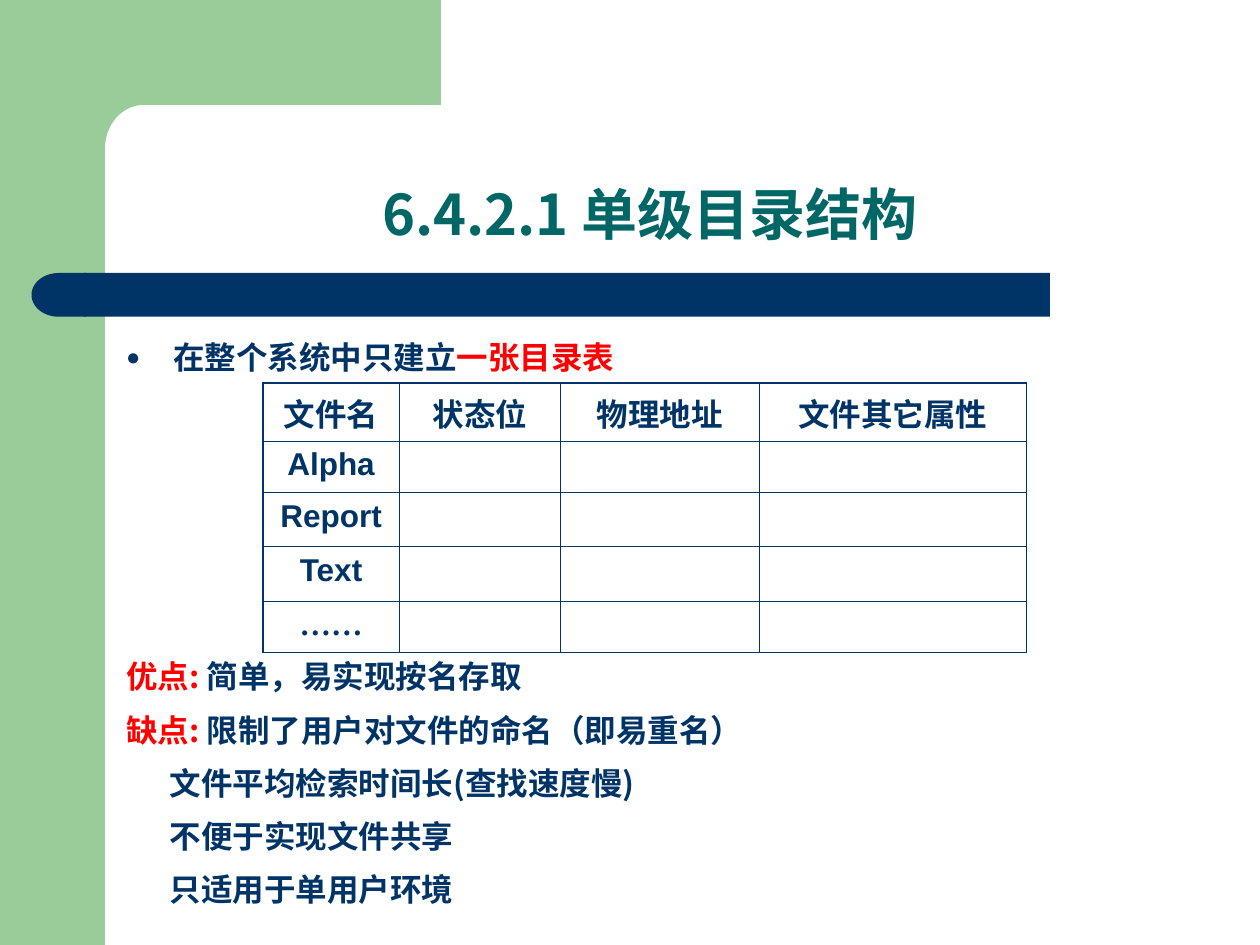
from math import cos, pi, sin

from lxml.etree import SubElement
from pptx import Presentation
from pptx.dml.color import RGBColor
from pptx.enum.shapes import MSO_SHAPE
from pptx.enum.text import MSO_ANCHOR, PP_ALIGN
from pptx.oxml.ns import qn
from pptx.util import Pt

NAVY = RGBColor(0x00, 0x33, 0x66)
GREEN = RGBColor(0x99, 0xCC, 0x99)
TEAL = RGBColor(0x00, 0x66, 0x66)
RED = RGBColor(0xFF, 0x00, 0x00)
CJK = "Noto Sans CJK SC"


def add_text(p, text, size=18, color=NAVY, font=CJK, east=CJK):
    r = p.add_run()
    r.text = text
    r.font.size = Pt(size)
    r.font.bold = True
    r.font.name = font
    r.font.color.rgb = color
    SubElement(r.font._element, qn("a:ea"), typeface=east)


def add_bullet(p, char, percent, color, font):
    pPr = p._p.get_or_add_pPr()
    clr = SubElement(pPr, qn("a:buClr"))
    SubElement(clr, qn("a:srgbClr"), val=str(color))
    SubElement(pPr, qn("a:buSzPct"), val=str(percent * 1000))
    SubElement(pPr, qn("a:buFont"), typeface=font)
    SubElement(pPr, qn("a:buChar"), char=char)


def add_border(cell, side, width, color):
    ln = SubElement(cell._tc.get_or_add_tcPr(), qn(f"a:ln{side}"), w=str(Pt(width)))
    fill = SubElement(ln, qn("a:solidFill"))
    SubElement(fill, qn("a:srgbClr"), val=str(color))


class Deck:
    outer, inner = 1.08, 0.45

    def __init__(self, width, height):
        self.prs = Presentation()
        self.prs.slide_width = Pt(width)
        self.prs.slide_height = Pt(height)
        self.s = self.prs.slides.add_slide(self.prs.slide_layouts[6])

    def paint(self, sp, color):
        sp.shadow.inherit = False
        sp.fill.solid()
        sp.fill.fore_color.rgb = color
        sp.line.fill.background()
        return sp

    def shape(self, kind, x, y, w, h, color):
        sp = self.s.shapes.add_shape(kind, Pt(x), Pt(y), Pt(w), Pt(h))
        return self.paint(sp, color)

    def outline(self, points, color):
        start, *rest = [(Pt(x), Pt(y)) for x, y in points]
        builder = self.s.shapes.build_freeform(*start)
        builder.add_line_segments(rest)
        return self.paint(builder.convert_to_shape(), color)

    def textbox(self, x, y, w, h, top=3.6, bottom=3.6, anchor=MSO_ANCHOR.TOP):
        tf = self.s.shapes.add_textbox(Pt(x), Pt(y), Pt(w), Pt(h)).text_frame
        tf.word_wrap = True
        tf.margin_top, tf.margin_bottom = Pt(top), Pt(bottom)
        tf.vertical_anchor = anchor
        return tf

    def table(self, x, y, widths, heights, rows):
        frame = self.s.shapes.add_table(
            len(heights), len(widths), Pt(x), Pt(y), Pt(sum(widths)), Pt(sum(heights)))
        table = frame.table
        table.first_row = table.horz_banding = False
        for column, width in zip(table.columns, widths):
            column.width = Pt(width)
        for row, height in zip(table.rows, heights):
            row.height = Pt(height)
        last_row, last_col = len(heights) - 1, len(widths) - 1
        for i, row in enumerate(rows):
            for j in range(len(widths)):
                cell = table.cell(i, j)
                edges = {"L": j == 0, "R": j == last_col, "T": i == 0, "B": i == last_row}
                for side, is_outer in edges.items():
                    add_border(cell, side, self.outer if is_outer else self.inner, NAVY)
                cell.fill.background()
                if j < len(row):
                    p = cell.text_frame.paragraphs[0]
                    p.alignment = PP_ALIGN.CENTER
                    if row[j] == "……":
                        add_text(p, row[j], font="Times New Roman", east="Times New Roman")
                    else:
                        add_text(p, row[j], font="Arial")


def add_frame(deck):
    deck.shape(MSO_SHAPE.RECTANGLE, 0, 0, 60, 540, GREEN)
    angles = [pi / 2 * k / 24 for k in range(25)]
    corner = [(82 - 22 * sin(a), 85 - 25 * cos(a)) for a in angles]
    deck.outline([(252, 0), (252, 60), *corner, (60, 92), (36, 92), (36, 0), (252, 0)], GREEN)
    deck.shape(MSO_SHAPE.RECTANGLE, 48, 156, 552, 25, NAVY)
    cap = deck.shape(MSO_SHAPE.FLOWCHART_DELAY, 18, 156, 31, 25, NAVY)
    cap.rotation = 180


def add_title(deck):
    tf = deck.textbox(65, 66, 613, 78.5, bottom=3.1, anchor=MSO_ANCHOR.BOTTOM)
    p = tf.paragraphs[0]
    p.alignment = PP_ALIGN.CENTER
    p.line_spacing = 0.9
    add_text(p, "6.4.2.1 单级目录结构", size=32, color=TEAL)


def add_body(deck):
    tf = deck.textbox(65, 185, 629, 339, top=4)
    p = tf.paragraphs[0]
    p.line_spacing = 1.2
    pPr = p._p.get_or_add_pPr()
    pPr.set("marL", str(Pt(27)))
    pPr.set("indent", str(-Pt(27)))
    add_bullet(p, "●", 75, NAVY, "Arial")
    add_text(p, "在整个系统中只建立")
    add_text(p, "一张目录表", color=RED)

    points = [
        ("优点: ", "简单，易实现按名存取", 156.4),
        ("缺点: ", "限制了用户对文件的命名（即易重名）", 4.5),
        ("", "文件平均检索时间长(查找速度慢)", 4.5),
        ("", "不便于实现文件共享", 4.5),
        ("", "只适用于单用户环境", 4.5),
    ]
    for label, text, gap in points:
        p = tf.add_paragraph()
        p.line_spacing = 1.2
        p.space_before = Pt(gap)
        if label:
            add_text(p, label, color=RED)
        else:
            p._p.get_or_add_pPr().set("marL", str(Pt(25)))
        add_text(p, text)


def main():
    deck = Deck(720, 540)
    add_frame(deck)
    add_title(deck)
    add_body(deck)
    deck.table(150.2, 219, [78, 92, 113.5, 153], [33, 29.5, 31, 31, 29.5], [
        ["文件名", "状态位", "物理地址", "文件其它属性"],
        ["Alpha"], ["Report"], ["Text"], ["……"],
    ])
    deck.prs.save("out.pptx")


if __name__ == "__main__":
    main()
